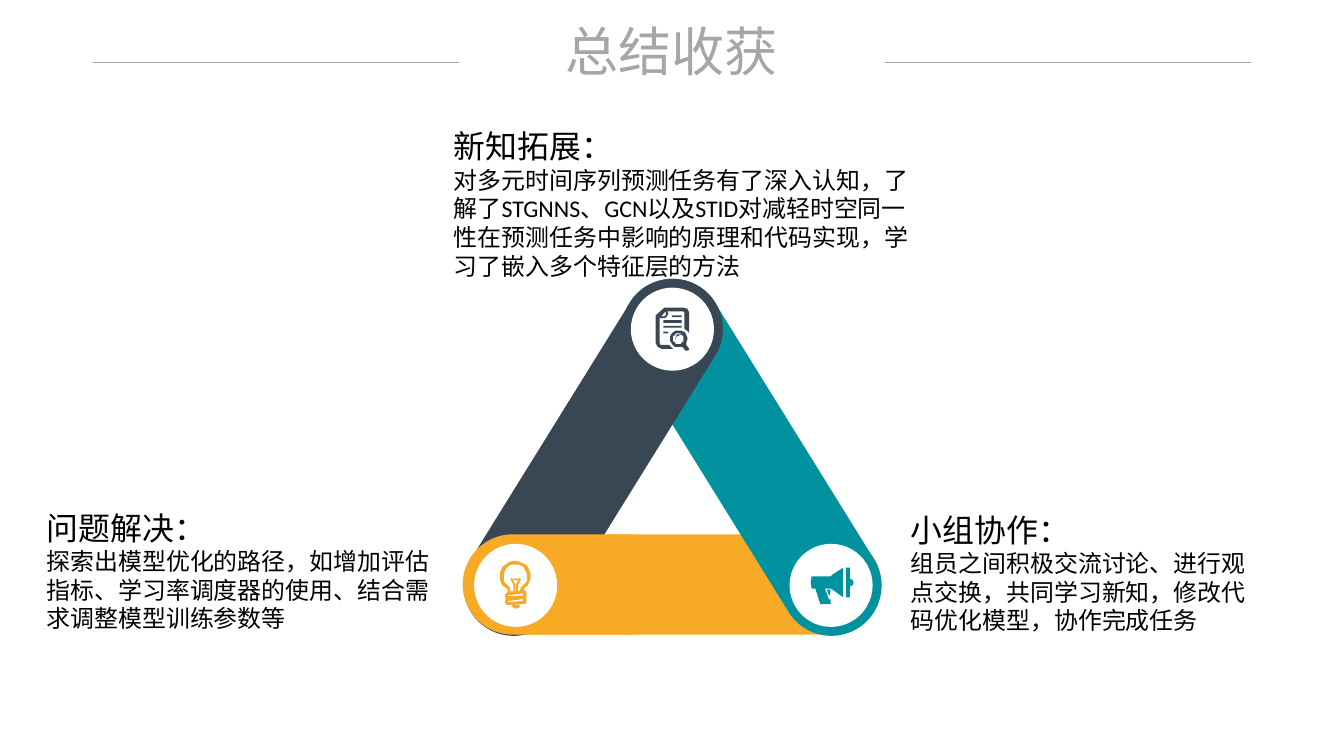
"""Build a summary slide: a triangle of three bars with icons and notes."""
from math import cos, radians, sin

from pptx import Presentation
from pptx.dml.color import RGBColor as Rgb
from pptx.enum.shapes import MSO_CONNECTOR as Link, MSO_SHAPE as Kind
from pptx.enum.text import MSO_ANCHOR as Anchor, MSO_AUTO_SIZE as Fit, PP_ALIGN as Align
from pptx.oxml.ns import qn
from pptx.util import Pt

GOLD, TEAL, NAVY = "F6AA26", "00939F", "394754"
GREY, WHITE, BLACK = "A6A6A6", "FFFFFF", "000000"
SANS = "Noto Sans CJK SC"
UNIT = 0.72

BARS = [
    (350, 402.5, 314, 0, GOLD),
    (414.7, 306.7, 303.1, 58.2, TEAL),
    (295.2, 306.7, 303.1, 301.8, NAVY),
    (348.5, 402.5, 162, 0, GOLD),
]
DISCS = [(475.2, 216.7), (357.1, 409.7), (594.7, 409.7)]
NOTES = [
    (679, 380.9, 275, 123.8, "Arial", "小组协作：",
     "组员之间积极交流讨论、进行观点交换，共同学习新知，修改代码优化模型，协作完成任务"),
    (334.8, 92.2, 357.1, 123.8, "Calibri", "新知拓展：",
     "对多元时间序列预测任务有了深入认知，了解了STGNNS、GCN以及STID对减轻时空同一性"
     "在预测任务中影响的原理和代码实现，学习了嵌入多个特征层的方法"),
    (28.1, 379.4, 319.7, 101.5, "Calibri", "问题解决：",
     "探索出模型优化的路径，如增加评估指标、学习率调度器的使用、结合需求调整模型训练参数等"),
]


def color(code):
    """Turn a hex string into a colour."""
    return Rgb.from_string(code)


def paint(shape, code):
    """Give a shape a flat fill with no line and no shadow."""
    shape.shadow.inherit = False
    shape.fill.solid()
    shape.fill.fore_color.rgb = color(code)
    shape.line.fill.background()


def arc(x, y, size, start, end):
    """List points along an arc, clockwise in degrees."""
    turns = [radians(start + (end - start) * step / 32) for step in range(33)]
    return [(x + size * cos(turn), y + size * sin(turn)) for turn in turns]


def rect(left, top, right, low):
    """List the corners of a box."""
    return [(left, top), (right, top), (right, low), (left, low)]


def paper():
    """List the outlines of the page with a lens."""
    page = [(10, 0), (29, 0), (33, 1), (35, 5), (35, 27), (34, 25), (30, 22),
            (30, 5), (29, 4), (12, 4), (13, 5), (13, 7), (11, 10), (9, 11),
            (4, 11), (4, 37), (5, 39), (14, 39), (18, 43), (6, 43), (2, 41),
            (0, 37), (0, 8), (9, 0)]
    fold = [(10, 4), (6, 9), (9, 9), (11, 7)]
    rows = [rect(8, 25, 13, 27), rect(8, 19, 27, 21),
            rect(8, 13, 27, 16), rect(17, 8, 27, 10)]
    lens = arc(24, 32.5, 9, 65, 390) + [(32, 39), (35, 43), (34, 45), (31, 45)]
    shine = [(20, 33), (22, 30), (27, 28), (22, 28.5)]
    return [page, fold, *rows, lens, arc(23.5, 32.5, 5.5, 0, 360), shine]


def bulb():
    """List the outlines of the light bulb."""
    glass = arc(16, 16, 16, 120, 415) + [
        (25, 31), (27, 31), (28, 35), (27, 38), (28, 41), (27, 44), (26, 45),
        (7, 46), (6, 45), (5, 43), (6, 39), (5, 37), (6, 34), (8, 33)]
    inner = arc(16, 16, 12.5, 120, 420) + [
        (21, 31), (19, 32), (19, 25), (22, 19), (20, 18), (18, 19), (16, 18),
        (14, 19), (12, 18), (11, 19), (14, 25), (14, 32), (11, 32)]
    wire = [(19, 20), (13, 20), (15.5, 24), (15.5, 32), (17, 32), (17, 24)]
    slots = [[(24, top), (8, top + 1.5), (8, top + 2.5), (24, top + 1)]
             for top in (34.5, 40.5)]
    foot = [(21, 46), (12, 46.5), (14, 49), (17, 50), (20, 49)]
    return [glass, inner, wire, *slots, foot]


def horn():
    """List the outlines of the megaphone."""
    body = [(1, 9), (21, 9), (23, 7), (34, 0), (34, 31), (23, 23), (21, 22),
            (15, 22), (19, 33), (21, 33), (21, 38), (10, 38), (5, 22),
            (1, 22), (0, 15)]
    rim = [(37, 0), (41, 0), (41, 11), (44, 13), (45, 15.5), (44, 18),
           (41, 20), (41, 31), (37, 31)]
    grip = [(21, 23), (17, 23), (19, 29), (20, 29), (20, 27)]
    return [body, rim, grip]


def add_bar(shapes, left, top, width, turn, code):
    """Add one rounded bar."""
    bar = shapes.add_shape(Kind.ROUNDED_RECTANGLE, Pt(left), Pt(top), Pt(width), Pt(75.6))
    bar.adjustments[0] = 0.5
    bar.rotation = turn
    paint(bar, code)


def add_disc(shapes, left, top):
    """Add one white disc."""
    paint(shapes.add_shape(Kind.OVAL, Pt(left), Pt(top), Pt(62.6), Pt(62.6)), WHITE)


def add_icon(shapes, left, top, loops, code):
    """Add one icon made of closed outlines."""
    pen = shapes.build_freeform(*loops[0][0], scale=Pt(UNIT))
    pen.add_line_segments(loops[0][1:])
    for loop in loops[1:]:
        pen.move_to(*loop[0])
        pen.add_line_segments(loop[1:])
    paint(pen.convert_to_shape(Pt(left), Pt(top)), code)


def add_rule(shapes, left, right):
    """Add one thin line beside the title."""
    rule = shapes.add_connector(Link.STRAIGHT, Pt(left), Pt(46.8), Pt(right), Pt(46.8))
    rule.line.width = Pt(0.5)
    rule.line.color.rgb = color(GREY)
    props = rule._element.spPr
    props.append(props.makeelement(qn("a:effectLst"), {}))


def style(para, face, size, code):
    """Set the font of a paragraph."""
    para.font.name = face
    para.font.size = Pt(size)
    para.font.color.rgb = color(code)


def add_title(slide, text):
    """Place and format the title."""
    title = slide.shapes.title
    title.left, title.top, title.width, title.height = Pt(350.6), Pt(13.7), Pt(311), Pt(48.2)
    frame = title.text_frame
    frame.text = text
    frame.auto_size = Fit.NONE
    frame.vertical_anchor = Anchor.MIDDLE
    frame.margin_left = frame.margin_right = frame.margin_top = frame.margin_bottom = Pt(0)
    para = frame.paragraphs[0]
    para.alignment = Align.CENTER
    style(para, SANS, 40, GREY)


def add_note(shapes, left, top, width, height, face, head, text):
    """Add a heading with its text."""
    frame = shapes.add_textbox(Pt(left), Pt(top), Pt(width), Pt(height)).text_frame
    frame.word_wrap = True
    frame.text = head
    style(frame.paragraphs[0], SANS, 24, BLACK)
    para = frame.add_paragraph()
    para.text = text
    style(para, face, 18, BLACK)


def main():
    """Build and save the slide."""
    deck = Presentation()
    deck.slide_width, deck.slide_height = Pt(1012.32), Pt(569.52)
    slide = deck.slides.add_slide(deck.slide_layouts[5])
    graph = slide.shapes.add_group_shape().shapes
    for bar in BARS:
        add_bar(graph, *bar)
    for disc in DISCS:
        add_disc(graph, *disc)
    add_icon(graph, 493.9, 231.8, paper(), NAVY)
    add_icon(graph, 376.6, 422.6, bulb(), GOLD)
    add_icon(graph, 610.6, 427.7, horn(), TEAL)
    add_title(slide, "总结收获")
    rules = slide.shapes.add_group_shape().shapes
    add_rule(rules, 69.8, 345.6)
    add_rule(rules, 666.7, 942.5)
    for note in NOTES:
        add_note(slide.shapes, *note)
    deck.save("out.pptx")


if __name__ == "__main__":
    main()
